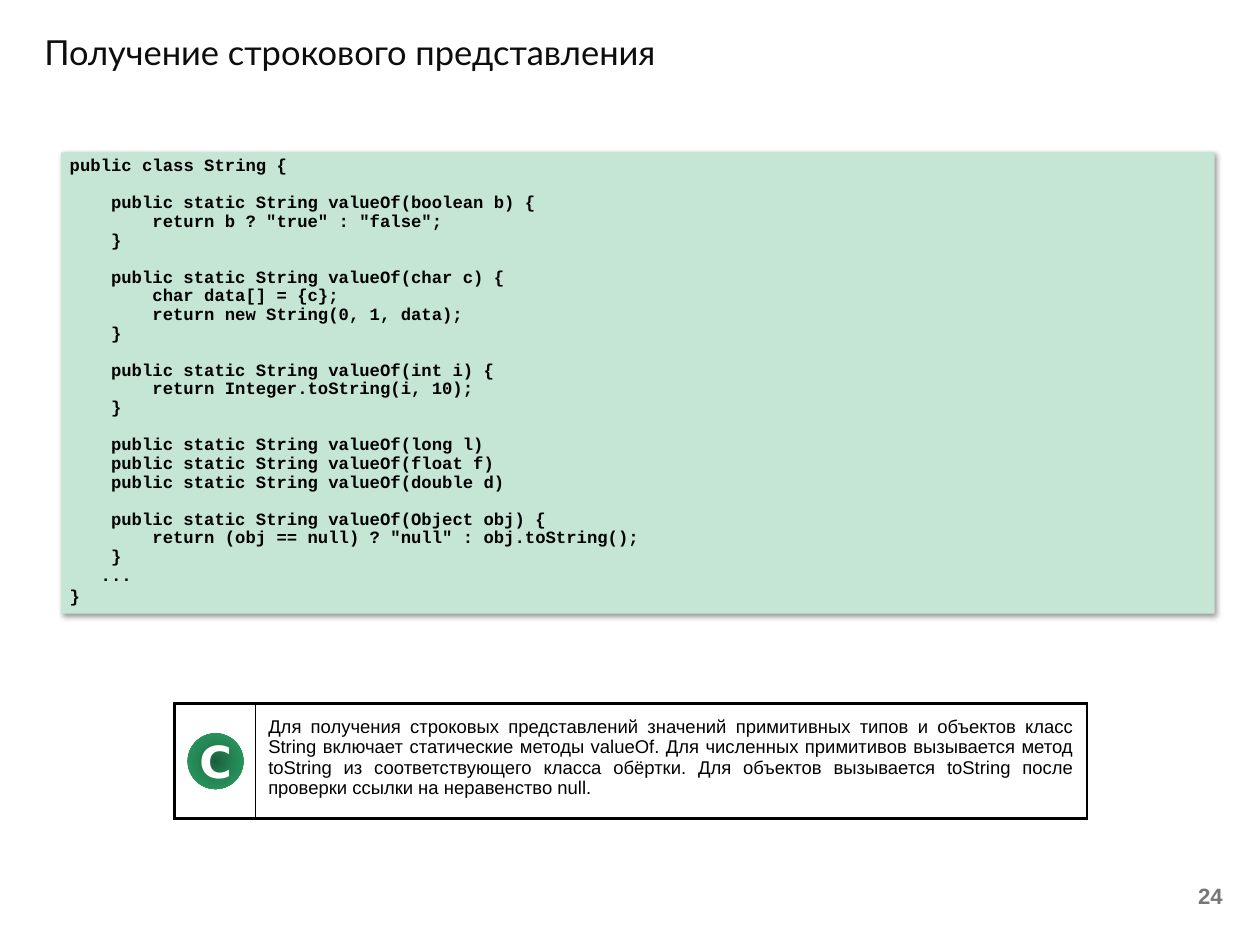
from dataclasses import dataclass

from lxml.etree import SubElement
from pptx import Presentation
from pptx.dml.color import RGBColor as RGB
from pptx.enum.shapes import MSO_SHAPE as Shape
from pptx.enum.text import MSO_ANCHOR as Anchor, PP_ALIGN as Align
from pptx.oxml import parse_xml
from pptx.oxml.ns import nsdecls, qn
from pptx.util import Cm, Pt


@dataclass(frozen=True)
class Theme:
    black: str = "000000"
    white: str = "FFFFFF"
    heading: str = "0D0D0D"
    code_panel: str = "C5E5D5"
    page: str = "777777"
    badge: tuple = ((0, "1A5F3C"), (50, "258756"), (100, "2BA166"))
    heading_font: str = "Lato"
    code_font: str = "Courier New"
    body_font: str = "Arial"
    badge_font: str = "DejaVu Sans"
    heading_size: float = 28
    code_size: float = 14
    note_size: float = 15
    page_size: float = 18
    badge_size: float = 36
    thick: float = 2.25
    thin: float = 0.5


THEME = Theme()

CODE_BLOCKS = [
    [(0, "public class String {")],
    [(4, "public static String valueOf(boolean b) {"),
     (8, 'return b ? "true" : "false";'),
     (4, "}")],
    [(4, "public static String valueOf(char c) {"),
     (8, "char data[] = {c};"),
     (8, "return new String(0, 1, data);"),
     (4, "}")],
    [(4, "public static String valueOf(int i) {"),
     (8, "return Integer.toString(i, 10);"),
     (4, "}")],
    [(4, "public static String valueOf(long l)"),
     (4, "public static String valueOf(float f)"),
     (4, "public static String valueOf(double d)")],
    [(4, "public static String valueOf(Object obj) {"),
     (8, 'return (obj == null) ? "null" : obj.toString();'),
     (4, "}"),
     (3, "..."),
     (0, "}")],
]

NOTE = (
    "Для получения строковых представлений значений примитивных типов и объектов "
    "класс String включает статические методы valueOf. Для численных примитивов "
    "вызывается метод toString из соответствующего класса обёртки. Для объектов "
    "вызывается toString после проверки ссылки на неравенство null."
)


def write(paragraph, text, font, size, color, bold=False, align=Align.LEFT):
    paragraph.text = text
    paragraph.alignment = align
    paragraph.font.name = font
    paragraph.font.size = Pt(size)
    paragraph.font.bold = bold
    paragraph.font.color.rgb = RGB.from_string(color)


def set_margins(owner, margin):
    owner.margin_left = owner.margin_right = margin
    owner.margin_top = owner.margin_bottom = margin


def add_label(slide, box, text, font, size, color, wrap=True, anchor=Anchor.TOP, **style):
    frame = slide.shapes.add_textbox(*box).text_frame
    frame.word_wrap = wrap
    frame.vertical_anchor = anchor
    write(frame.paragraphs[0], text, font, size, color, **style)


def add_plain_shape(slide, preset, box, color):
    shape = slide.shapes.add_shape(preset, *box)
    shape.fill.solid()
    shape.fill.fore_color.rgb = RGB.from_string(color)
    shape.line.fill.background()
    shape.shadow.inherit = False
    return shape


def cast_shadow(shape):
    effects = shape._element.spPr.find(qn("a:effectLst"))
    effects.append(parse_xml(
        f'<a:outerShdw {nsdecls("a")} blurRad="{Pt(4)}" dist="{Pt(3)}" dir="2700000" '
        f'algn="tl" rotWithShape="0"><a:srgbClr val="{THEME.black}">'
        '<a:alpha val="40000"/></a:srgbClr></a:outerShdw>'))


def add_code(slide, box, blocks):
    panel = add_plain_shape(slide, Shape.RECTANGLE, box, THEME.code_panel)
    cast_shadow(panel)
    frame = panel.text_frame
    frame.word_wrap = True
    frame.vertical_anchor = Anchor.TOP
    character = Pt(THEME.code_size * 0.6)
    line = frame.paragraphs[0]
    for block_index, block in enumerate(blocks):
        for line_index, (indent, code) in enumerate(block):
            if block_index or line_index:
                line = frame.add_paragraph()
            write(line, code, THEME.code_font, THEME.code_size, THEME.black, bold=True)
            line.line_spacing = 0.9
            if block_index and not line_index:
                line.space_before = Pt(15.1)
            line._p.get_or_add_pPr().set("marL", str(indent * character))
    line.line_spacing = 1.0


def set_borders(cell, **widths):
    properties = cell._tc.get_or_add_tcPr()
    for position, side in enumerate("LRTB"):
        border = parse_xml(
            f'<a:ln{side} {nsdecls("a")} w="{Pt(widths.get(side, THEME.thick))}">'
            f'<a:solidFill><a:srgbClr val="{THEME.black}"/></a:solidFill></a:ln{side}>')
        properties.insert(position, border)


def add_note(slide, box, badge_width, text):
    left, top, width, height = box
    note = slide.shapes.add_table(1, 2, left, top, width, height).table
    note.first_row = note.horz_banding = False
    note.columns[0].width = badge_width
    note.columns[1].width = width - badge_width
    badge_cell, text_cell = note.cell(0, 0), note.cell(0, 1)
    for cell, inner_side in ((badge_cell, "R"), (text_cell, "L")):
        cell.fill.solid()
        cell.fill.fore_color.rgb = RGB.from_string(THEME.white)
        set_borders(cell, **{inner_side: THEME.thin})
    set_margins(text_cell, Cm(0.38))
    write(text_cell.text_frame.paragraphs[0], text, THEME.body_font, THEME.note_size,
          THEME.black, align=Align.JUSTIFY)


def add_badge(slide, box, letter):
    badge = add_plain_shape(slide, Shape.OVAL, box, THEME.white)
    properties = badge._element.spPr
    gradient = parse_xml(f'<a:gradFill {nsdecls("a")} rotWithShape="1"/>')
    stops = SubElement(gradient, qn("a:gsLst"))
    for percent, color in THEME.badge:
        stop = SubElement(stops, qn("a:gs"), pos=str(percent * 1000))
        SubElement(stop, qn("a:srgbClr"), val=color)
    circle = SubElement(gradient, qn("a:path"), {"path": "circle"})
    SubElement(circle, qn("a:fillToRect"), {side: "50000" for side in "ltrb"})
    properties.replace(properties.find(qn("a:solidFill")), gradient)
    frame = badge.text_frame
    frame.word_wrap = True
    frame.vertical_anchor = Anchor.MIDDLE
    set_margins(frame, 0)
    write(frame.paragraphs[0], letter, THEME.badge_font, THEME.badge_size, THEME.white,
          bold=True, align=Align.CENTER)


def main():
    deck = Presentation()
    deck.slide_width, deck.slide_height = Cm(36.12), Cm(27.1)
    slide = deck.slides.add_slide(deck.slide_layouts[6])

    add_code(slide, (Cm(1.75), Cm(4.37), Cm(33.07), Cm(13.23)), CODE_BLOCKS)
    add_label(slide, (Cm(1.02), Cm(0.76), Cm(28.02), Cm(1.6)),
              "Получение строкового представления",
              THEME.heading_font, THEME.heading_size, THEME.heading, wrap=False)
    add_label(slide, (Cm(26.87), Cm(25.02), Cm(8.43), Cm(1.35)), "24",
              THEME.body_font, THEME.page_size, THEME.page,
              anchor=Anchor.MIDDLE, bold=True, align=Align.RIGHT)
    add_note(slide, (Cm(5), Cm(20.17), Cm(26.16), Cm(3.1)), Cm(2.31), NOTE)
    add_badge(slide, (Cm(5.38), Cm(21.03), Cm(1.6), Cm(1.6)), "C")

    deck.save("out.pptx")


main()
